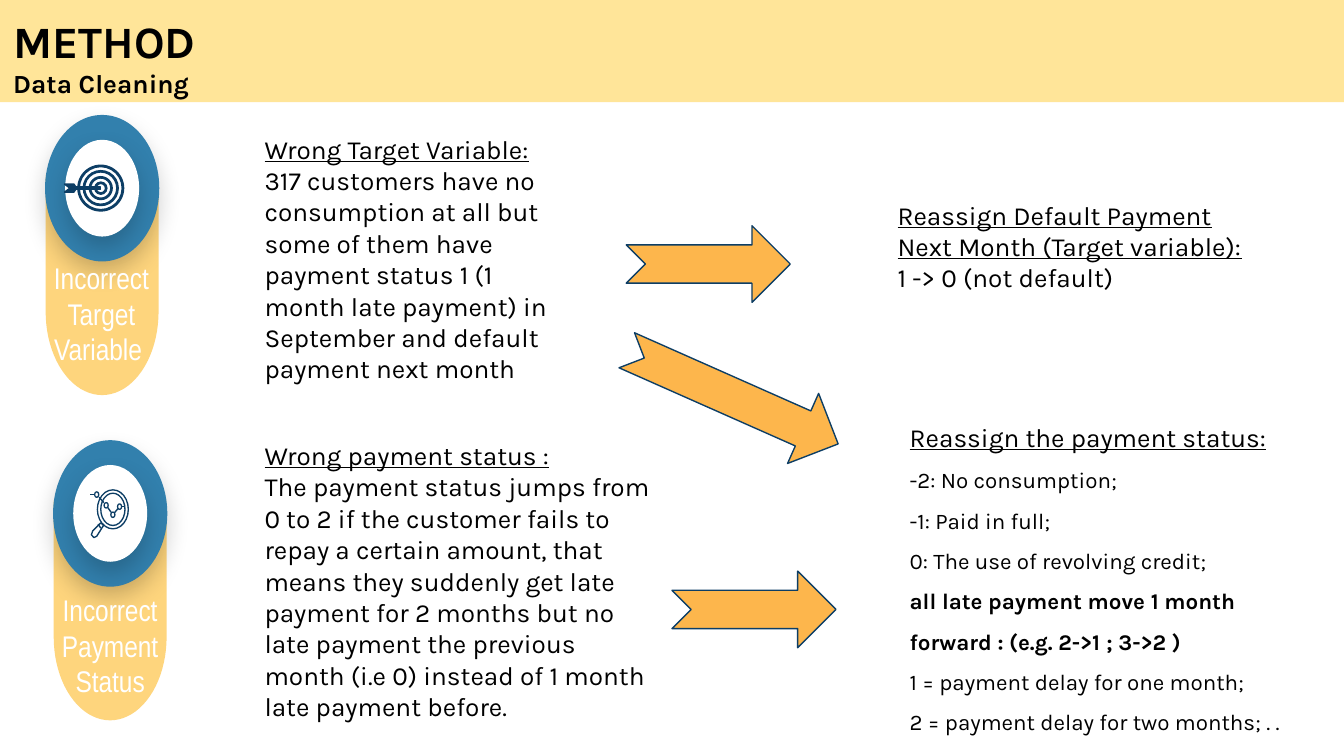
from math import cos, pi, sin

from lxml import etree
from pptx import Presentation
from pptx import util as u
from pptx.dml.color import RGBColor
from pptx.enum import shapes, text
from pptx.oxml.ns import qn

BLACK = RGBColor(0, 0, 0)
WHITE = RGBColor(255, 255, 255)
CREAM = RGBColor(0xFF, 0xE5, 0x99)
GOLD = RGBColor(0xFE, 0xD5, 0x7D)
AMBER = RGBColor(0xFD, 0xB6, 0x4C)
BLUE = RGBColor(0x32, 0x80, 0xAD)
NAVY = RGBColor(0x0D, 0x3E, 0x65)
KIND = shapes.MSO_SHAPE


def write(frame, parts, font="Karla", size=14, color=BLACK, align=None,
          anchor=text.MSO_ANCHOR.TOP, space=None):
    """Fill a frame; each part is a string or (string, run format)."""
    frame.word_wrap = True
    frame.vertical_anchor = anchor
    frame.margin_left = frame.margin_right = u.Inches(0.1)
    frame.margin_top = frame.margin_bottom = u.Inches(0.1)
    for i, part in enumerate(parts):
        words, form = (part, {}) if isinstance(part, str) else part
        para = frame.add_paragraph() if i else frame.paragraphs[0]
        para.alignment = align or text.PP_ALIGN.LEFT
        para.line_spacing = space
        run = para.add_run()
        run.text = words
        face = run.font
        face.name = font
        face.size = u.Pt(form.get("size", size))
        face.bold = form.get("bold", False)
        face.underline = form.get("under", False)
        face.color.rgb = color


class Deck:
    def __init__(self, wide, high):
        self.prs = Presentation()
        self.prs.slide_width = u.Inches(wide)
        self.prs.slide_height = u.Inches(high)
        self.slide = self.prs.slides.add_slide(self.prs.slide_layouts[6])
        self.items = self.slide.shapes

    def paint(self, item, fill, line=None):
        item.shadow.inherit = False
        if fill is None:
            item.fill.background()
        else:
            item.fill.solid()
            item.fill.fore_color.rgb = fill
        if line is None:
            item.line.fill.background()
        else:
            item.line.color.rgb = line
            item.line.width = u.Pt(0.75)
        return item

    def shape(self, kind, x, y, w, h, fill, line=None):
        item = self.items.add_shape(kind, *map(u.Inches, (x, y, w, h)))
        return self.paint(item, fill, line)

    def label(self, x, y, w, h, parts, **form):
        box = self.items.add_textbox(*map(u.Inches, (x, y, w, h)))
        write(box.text_frame, parts, **form)

    def outline(self, points, fill, line=None):
        dots = [(u.Inches(x), u.Inches(y)) for x, y in points]
        pen = self.items.build_freeform(*dots[0])
        pen.add_line_segments(dots[1:], close=True)
        return self.paint(pen.convert_to_shape(), fill, line)

    def line(self, start, end):
        item = self.items.add_connector(
            shapes.MSO_CONNECTOR.STRAIGHT, *map(u.Inches, start + end))
        item.line.color.rgb = NAVY
        item.line.width = u.Pt(0.75)
        etree.SubElement(item._element.spPr, qn("a:effectLst"))

    def ring(self, cx, cy, w, h, line=None):
        item = self.shape(KIND.DONUT, cx - w / 2, cy - h / 2, w, h, NAVY, line)
        item.adjustments[0] = 0.01 / min(w, h)

    def disc(self, cx, cy, w, h, fill):
        """Ellipse with a soft shadow below it."""
        item = self.shape(KIND.OVAL, cx - w / 2, cy - h / 2, w, h, fill)
        glow = etree.SubElement(
            item._element.spPr.find(qn("a:effectLst")), qn("a:outerShdw"),
            blurRad=str(u.Pt(12.4)), dist=str(u.Pt(6)), dir="5400000",
            algn="t", rotWithShape="0")
        tint = etree.SubElement(glow, qn("a:srgbClr"), val="000000")
        etree.SubElement(tint, qn("a:alpha"), val="18000")

    def badge(self, cx, cy):
        """Disc on a tab whose top is cut to the disc's curve."""
        steps = [pi * i / 40 for i in range(41)]
        foot = [(cx - 0.42 * cos(a), cy + 0.92 + 0.62 * sin(a)) for a in steps]
        cut = [(cx + 0.42 * cos(a), cy - 0.1 + 0.63 * sin(a)) for a in steps]
        self.outline(foot + cut, GOLD)
        self.disc(cx, cy, 0.85, 1.09, BLUE)
        self.disc(cx, cy, 0.55, 0.72, WHITE)

    def target(self, cx, cy):
        for size in (0.34, 0.26, 0.17, 0.09):
            self.ring(cx, cy, size, size, NAVY)
        self.shape(KIND.RECTANGLE, cx - 0.23, cy - 0.01, 0.23, 0.02, NAVY, NAVY)
        for side in (-1, 1):
            feather = [(-0.27, 0.03), (-0.23, 0), (-0.18, 0), (-0.2, 0.03)]
            self.outline([(cx + x, cy + side * y) for x, y in feather],
                         NAVY, NAVY)

    def lens(self, cx, cy):
        self.ring(cx, cy, 0.24, 0.3)
        self.ring(cx, cy, 0.19, 0.25)
        grip = [(-0.09, 0.1), (-0.15, 0.16), (-0.16, 0.19), (-0.14, 0.21),
                (-0.12, 0.2), (-0.07, 0.12)]
        self.outline([(cx + x, cy + y) for x, y in grip], None, NAVY)
        self.line((cx - 0.11, cy + 0.11), (cx - 0.09, cy + 0.14))
        nodes = [(-0.12, -0.11), (-0.05, -0.03), (0, 0.04), (0.05, -0.02)]
        nodes = [(cx + x, cy + y) for x, y in nodes]
        for x, y in nodes:
            self.ring(x, y, 0.04, 0.05)
        for (ax, ay), (bx, by) in zip(nodes, nodes[1:]):
            dx, dy = (bx - ax) / 4, (by - ay) / 4
            self.line((ax + dx, ay + dy), (bx - dx, by - dy))
        for x, y, end in ((*nodes[0], -0.05), (*nodes[-1], 0.04)):
            self.line((x + end / 3, y), (x + end, y))

    def arrow(self, x, y, w=1.22, turn=0):
        item = self.shape(KIND.NOTCHED_RIGHT_ARROW, x, y, w, 0.57, AMBER, NAVY)
        item.rotation = turn


def main():
    deck = Deck(10, 10 * 9 / 16)
    head = deck.shape(KIND.RECTANGLE, 0, 0, 10, 0.76, CREAM)
    write(head.text_frame, [("METHOD", {"size": 24, "bold": True}),
                            ("Data Cleaning", {"bold": True})])

    deck.badge(0.76, 1.4)
    deck.target(0.75, 1.4)
    deck.badge(0.82, 3.82)
    deck.lens(0.84, 3.79)
    tag = dict(font="Arial Narrow", size=16, color=WHITE,
               align=text.PP_ALIGN.CENTER, anchor=text.MSO_ANCHOR.MIDDLE)
    deck.label(0.21, 2.19, 1.09, 0.28, ["Incorrect Target Variable "], **tag)
    deck.label(0.15, 4.48, 1.34, 0.64, ["Incorrect Payment Status"], **tag)

    under = {"under": True}
    deck.label(1.87, 0.89, 2.35, 2.09, [
        ("Wrong Target Variable:", under),
        "317 customers have no consumption at all but some of them have "
        "payment status 1 (1 month late payment) in September and default "
        "payment next month"])
    deck.label(1.87, 3.17, 3.13, 2.32, [
        ("Wrong payment status :", under),
        "The payment status jumps from 0 to 2 if the customer fails to repay "
        "a certain amount, that means they suddenly get late payment for 2 "
        "months but no late payment the previous month (i.e 0) instead of 1 "
        "month late payment before."])
    deck.label(6.58, 1.38, 2.83, 0.91, [
        ("Reassign Default Payment Next Month (Target variable):", under),
        "1 -> 0 (not default)"])
    deck.label(6.67, 2.92, 3.02, 3.52, [
        ("Reassign the payment status:", {"size": 14, "under": True}),
        "-2: No consumption;",
        "-1: Paid in full;",
        "0: The use of revolving credit;",
        ("all late payment move 1 month forward : (e.g. 2->1 ; 3->2 )",
         {"bold": True}),
        "1 = payment delay for one month;",
        "2 = payment delay for two months; . ."], size=12, space=1.5)

    deck.arrow(4.66, 1.68)
    deck.arrow(5, 4.25)
    deck.arrow(4.59, 2.67, w=1.72, turn=23.9)
    deck.prs.save("out.pptx")


if __name__ == "__main__":
    main()
